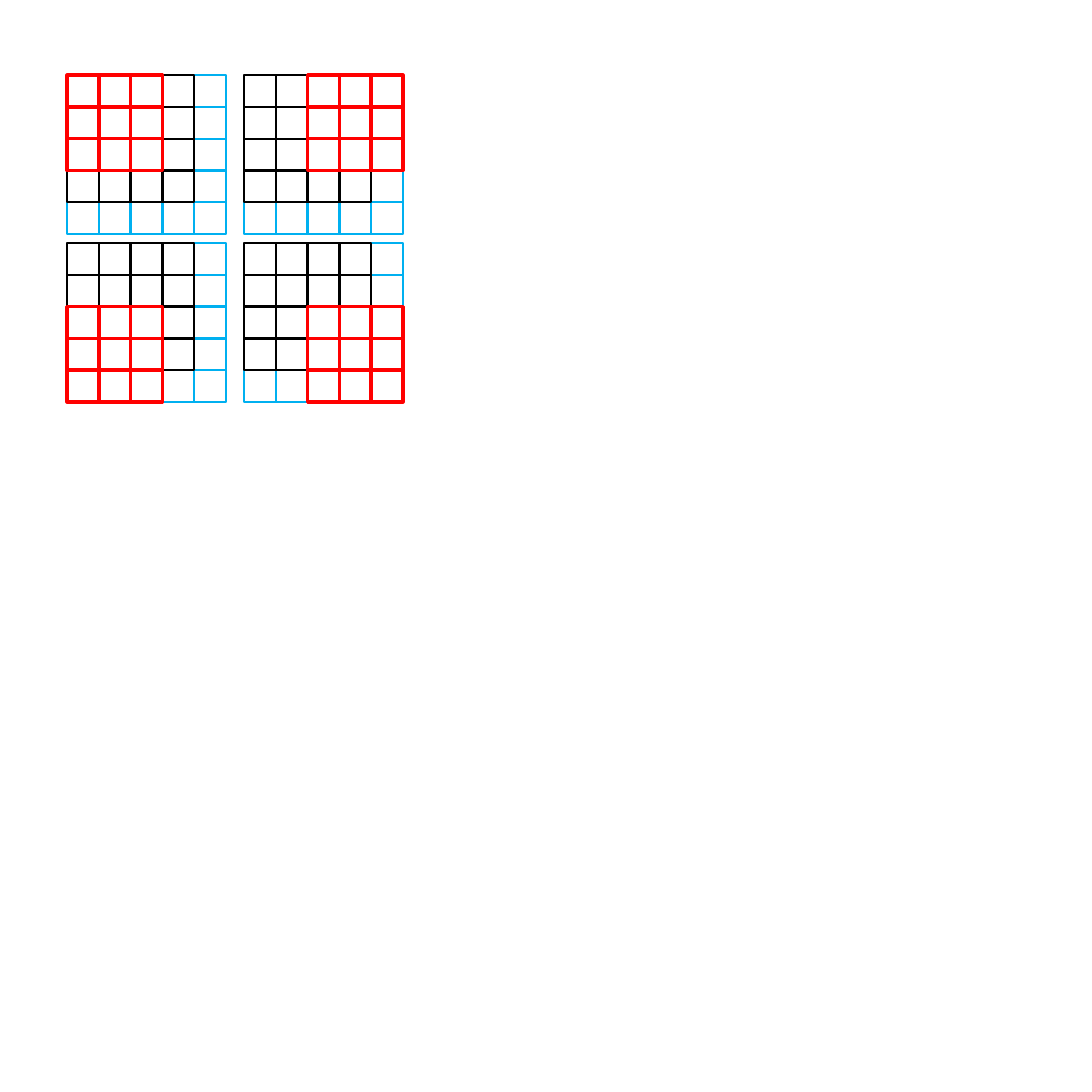
from itertools import product

from pptx import Presentation
from pptx.dml.color import RGBColor
from pptx.enum.shapes import MSO_SHAPE
from pptx.util import Pt

RECTANGLE = MSO_SHAPE.RECTANGLE
BLUE = RGBColor(0x00, 0xB0, 0xF0)
BLACK = RGBColor(0x00, 0x00, 0x00)
RED = RGBColor(0xFF, 0x00, 0x00)

SLIDE_SIDE = 1417.32
CELL = 41.2
GRID_LEFTS = (87.2, 316.9)
GRID_TOPS = (97.6, 315.6)
PADDED_SIZE = 5
INPUT_SIZE = 4
WINDOW_SIZE = 3
WINDOW_SHIFT = PADDED_SIZE - WINDOW_SIZE


class GridSlide:
    thin = 3
    thick = 4.5

    def __init__(self, presentation):
        blank_layout = presentation.slide_layouts[6]
        self.slide = presentation.slides.add_slide(blank_layout)

    def square(self, group, left, top, color, width):
        shape = group.shapes.add_shape(
            RECTANGLE, Pt(left), Pt(top), Pt(CELL), Pt(CELL))
        shape.shadow.inherit = False
        shape.fill.background()
        shape.line.color.rgb = color
        shape.line.width = Pt(width)

    def squares(self, origin, cells, color, width):
        left, top = origin
        group = self.slide.shapes.add_group_shape()
        for row, column in cells:
            self.square(group, left + column * CELL, top + row * CELL,
                        color, width)


def block(size, first_row=0, first_column=0):
    return list(product(range(first_row, first_row + size),
                        range(first_column, first_column + size)))


def main():
    presentation = Presentation()
    presentation.slide_width = Pt(SLIDE_SIDE)
    presentation.slide_height = Pt(SLIDE_SIDE)
    grid_slide = GridSlide(presentation)

    input_cells = block(INPUT_SIZE)
    grids = []
    for grid_row, grid_column in product(range(2), repeat=2):
        origin = GRID_LEFTS[grid_column], GRID_TOPS[grid_row]
        window = block(WINDOW_SIZE, grid_row * WINDOW_SHIFT,
                       grid_column * WINDOW_SHIFT)
        padding = [cell for cell in block(PADDED_SIZE)
                   if cell not in input_cells and cell not in window]
        grids.append((origin, padding, window))

    for origin, padding, window in grids:
        grid_slide.squares(origin, padding, BLUE, grid_slide.thin)
    for origin, padding, window in grids:
        grid_slide.squares(origin, input_cells, BLACK, grid_slide.thin)
    for origin, padding, window in grids:
        grid_slide.squares(origin, window, RED, grid_slide.thick)

    presentation.save("out.pptx")


if __name__ == "__main__":
    main()
